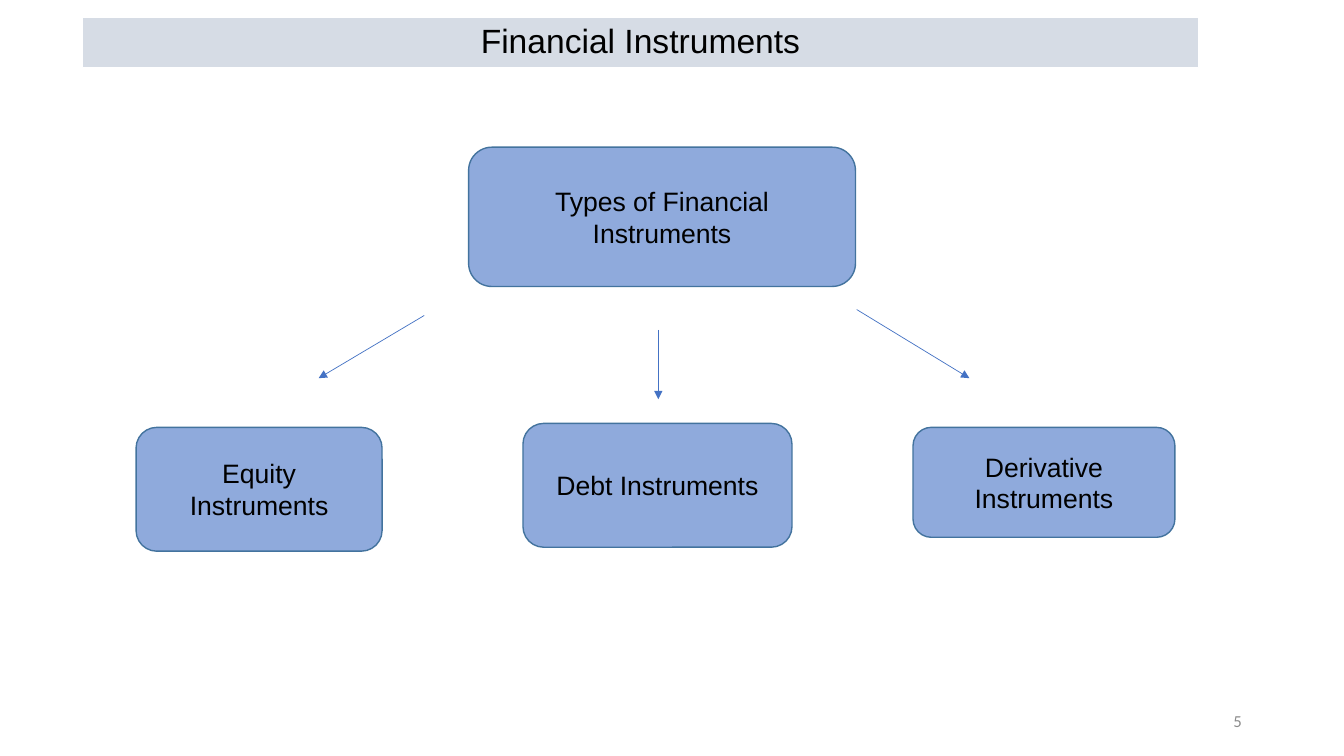
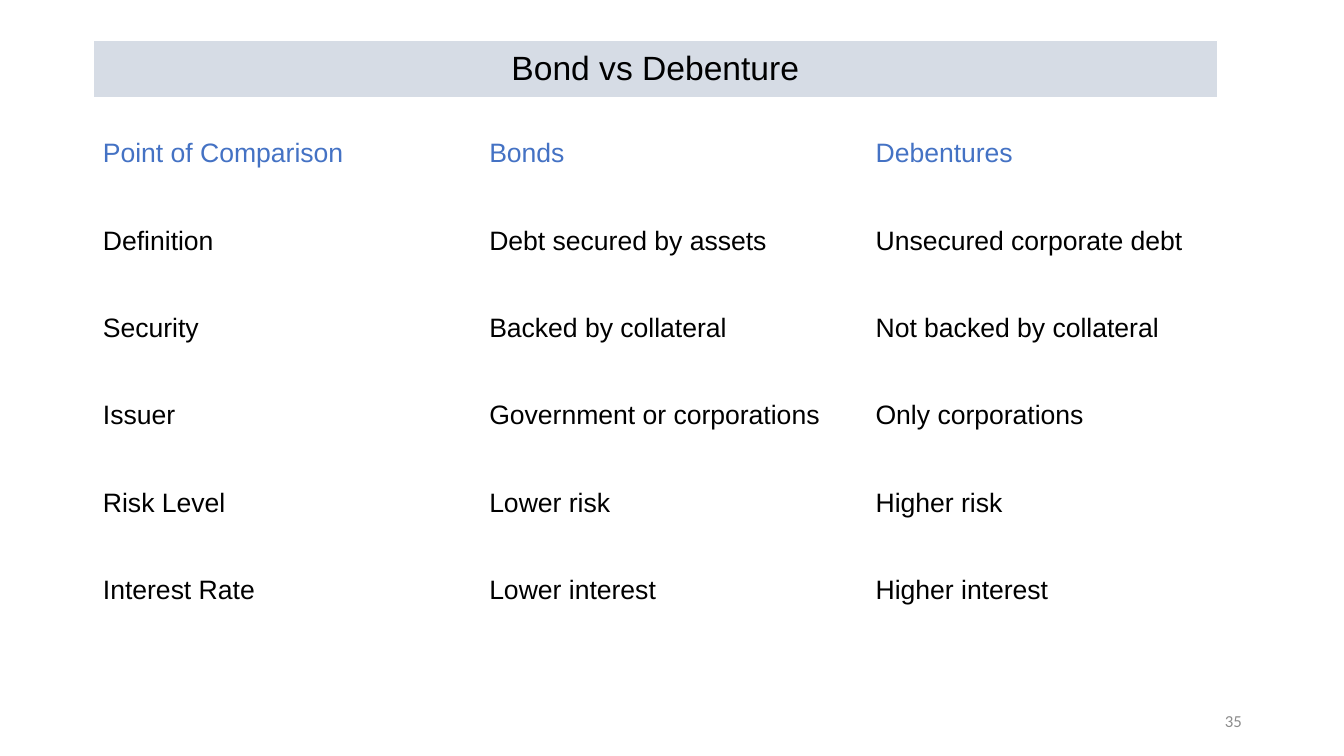
"""Build two finance slides: a tree of instrument types and a bond comparison table."""
from dataclasses import dataclass

from lxml import etree
from pptx import Presentation
from pptx.dml.color import RGBColor
from pptx.enum.shapes import MSO_CONNECTOR, MSO_SHAPE
from pptx.enum.text import MSO_ANCHOR, PP_ALIGN
from pptx.oxml.ns import qn
from pptx.util import Cm, Pt

LEFT, CENTER, RIGHT = PP_ALIGN.LEFT, PP_ALIGN.CENTER, PP_ALIGN.RIGHT
MIDDLE = MSO_ANCHOR.MIDDLE
RECTANGLE, ROUNDED = MSO_SHAPE.RECTANGLE, MSO_SHAPE.ROUNDED_RECTANGLE
STRAIGHT = MSO_CONNECTOR.STRAIGHT


@dataclass(frozen=True)
class Theme:
    ink: RGBColor = RGBColor.from_string("000000")
    accent: RGBColor = RGBColor.from_string("4472C4")
    box: RGBColor = RGBColor.from_string("8FAADC")
    box_edge: RGBColor = RGBColor.from_string("43739E")
    band: RGBColor = RGBColor.from_string("D6DCE5")
    band_edge: RGBColor = RGBColor.from_string("FFFFFF")
    muted: RGBColor = RGBColor.from_string("8C8C8C")
    font: str = "Arial"
    number_font: str = "Calibri"
    title_size: Pt = Pt(24)
    body_size: Pt = Pt(19)
    number_size: Pt = Pt(12)


THEME = Theme()


def write(frame, text, size, color=THEME.ink, align=LEFT, font=THEME.font):
    frame.word_wrap = True
    frame.vertical_anchor = MIDDLE
    paragraph = frame.paragraphs[0]
    paragraph.text = text
    paragraph.alignment = align
    paragraph.font.name = font
    paragraph.font.size = size
    paragraph.font.color.rgb = color
    return paragraph


def add_panel(slide, kind, area, text, size, fill, edge):
    panel = slide.shapes.add_shape(kind, *map(Cm, area))
    panel.shadow.inherit = False
    panel.fill.solid()
    panel.fill.fore_color.rgb = fill
    panel.line.color.rgb = edge
    panel.line.width = Pt(1)
    return write(panel.text_frame, text, size, align=CENTER)


deck = Presentation()
deck.slide_width, deck.slide_height = Cm(33.87), Cm(19.05)
blank = deck.slide_layouts[6]

pages = [
    ("Financial Instruments", (2.08, 0.43, 28.12, 1.27), "5"),
    ("Bond vs Debenture", (2.34, 1.02, 28.35, 1.45), "35"),
]
slides = []
for title, band_area, number in pages:
    slide = deck.slides.add_slide(blank)
    heading = add_panel(slide, RECTANGLE, band_area, title,
                        THEME.title_size, THEME.band, THEME.band_edge)
    heading.line_spacing = 0.9
    page_number = slide.shapes.add_textbox(Cm(23.93), Cm(17.65), Cm(7.62), Cm(1.02))
    write(page_number.text_frame, number, THEME.number_size,
          THEME.muted, RIGHT, THEME.number_font)
    slides.append(slide)
types_slide, comparison_slide = slides

instruments = [
    ("Types of Financial Instruments", (11.81, 3.71, 9.75, 3.51)),
    ("Equity Instruments", (3.43, 10.77, 6.2, 3.12)),
    ("Debt Instruments", (13.18, 10.67, 6.78, 3.12)),
    ("Derivative Instruments", (23.01, 10.77, 6.6, 2.77)),
]
for label, area in instruments:
    add_panel(types_slide, ROUNDED, area, label,
              THEME.body_size, THEME.box, THEME.box_edge)

branches = [
    (10.69, 7.95, 8.03, 9.53),
    (16.59, 8.31, 16.59, 10.06),
    (21.59, 7.8, 24.43, 9.53),
]
for ends in branches:
    branch = types_slide.shapes.add_connector(STRAIGHT, *map(Cm, ends))
    branch.line.color.rgb = THEME.accent
    branch.line.width = Pt(0.5)
    etree.SubElement(branch.line._get_or_add_ln(), qn("a:tailEnd"), type="triangle")
    etree.SubElement(branch._element.spPr, qn("a:effectLst"))

comparison = [
    ("Point of Comparison", "Bonds", "Debentures"),
    ("Definition", "Debt secured by assets", "Unsecured corporate debt"),
    ("Security", "Backed by collateral", "Not backed by collateral"),
    ("Issuer", "Government or corporations", "Only corporations"),
    ("Risk Level", "Lower risk", "Higher risk"),
    ("Interest Rate", "Lower interest", "Higher interest"),
]
table = comparison_slide.shapes.add_table(
    len(comparison), len(comparison[0]), Cm(2.34), Cm(2.77), Cm(29.21), Cm(13.2)).table
table.first_row = False
table.horz_banding = False
for row, entries in enumerate(comparison):
    for column, entry in enumerate(entries):
        cell = table.cell(row, column)
        cell.fill.background()
        write(cell.text_frame, entry, THEME.body_size,
              THEME.ink if row else THEME.accent)
        cell.vertical_anchor = MIDDLE

deck.save("out.pptx")
